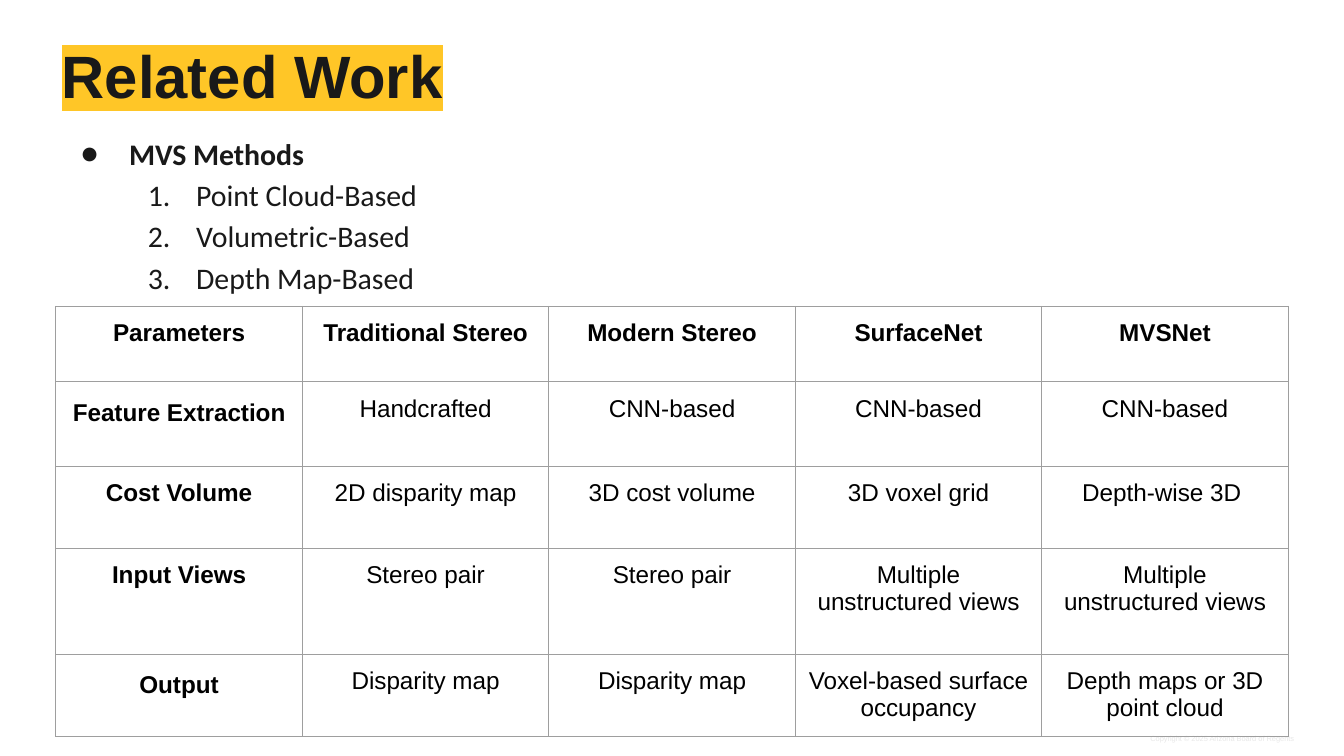
from lxml import etree
from pptx import Presentation
from pptx.dml.color import RGBColor
from pptx.enum.text import MSO_ANCHOR, MSO_AUTO_SIZE, PP_ALIGN
from pptx.oxml.ns import qn
from pptx.util import Inches, Pt

CENTER, LEFT, RIGHT = PP_ALIGN.CENTER, PP_ALIGN.LEFT, PP_ALIGN.RIGHT
TOP = MSO_ANCHOR.TOP
NO_AUTOFIT = MSO_AUTO_SIZE.NONE
TITLE_ONLY = 5

COLORS = {
    "ink": "191919",
    "gold": "FFC627",
    "black": "000000",
    "border": "9E9E9E",
    "faint": "E8E8E8",
}

METHODS = ["Point Cloud-Based", "Volumetric-Based", "Depth Map-Based"]
COMPARISON = [
    ["Parameters", "Traditional Stereo", "Modern Stereo", "SurfaceNet", "MVSNet"],
    ["Feature Extraction", "Handcrafted", "CNN-based", "CNN-based", "CNN-based"],
    ["Cost Volume", "2D disparity map", "3D cost volume", "3D voxel grid",
     "Depth-wise 3D "],
    ["Input Views", "Stereo pair", "Stereo pair", "Multiple unstructured views",
     "Multiple unstructured views"],
    ["Output", "Disparity map", "Disparity map", "Voxel-based surface occupancy",
     "Depth maps or 3D point cloud"],
]
ROW_HEIGHTS = [0.56, 0.63, 0.61, 0.79, 0.61]
TABLE_WIDTH = 9.17
LOOSE_ROWS = {"Feature Extraction", "Output"}


def add_color(parent, tag, color):
    el = etree.SubElement(parent, qn(tag))
    etree.SubElement(el, qn("a:srgbClr"), val=COLORS[color])
    return el


def style_paragraph(p, size, color, font="Arial", bold=False, align=LEFT, spacing=None):
    p.alignment = align
    if spacing:
        p.line_spacing = spacing
    for r in p.runs:
        r.font.size = Pt(size)
        r.font.bold = bold
        r.font.color.rgb = RGBColor.from_string(COLORS[color])
        r.font.name = font


def reset_frame(tf):
    """Top-anchored, wrapping frame without insets."""
    tf.margin_left = tf.margin_right = tf.margin_top = tf.margin_bottom = 0
    tf.vertical_anchor = TOP
    tf.word_wrap = True
    tf.auto_size = NO_AUTOFIT


def add_text_box(s, left, top, width, height):
    box = s.shapes.add_textbox(Inches(left), Inches(top), Inches(width), Inches(height))
    reset_frame(box.text_frame)
    return box.text_frame


def set_title(s, text):
    title = s.shapes.title
    title.left, title.top = Inches(0.46), Inches(0.35)
    title.width, title.height = Inches(9.05), Inches(0.48)
    reset_frame(title.text_frame)
    title.text_frame.text = text
    p = title.text_frame.paragraphs[0]
    style_paragraph(p, 32, "ink", bold=True, spacing=0.9)
    rPr = p.runs[0].font._element
    highlight = add_color(rPr, "a:highlight", "gold")
    rPr.find(qn("a:solidFill")).addnext(highlight)


def add_bullet(p, indent, tag, **attrs):
    pPr = p._p.get_or_add_pPr()
    pPr.set("marL", str(Inches(indent)))
    pPr.set("indent", str(-Inches(0.36)))
    add_color(pPr, "a:buClr", "ink")
    etree.SubElement(pPr, qn("a:buFont"), typeface="Calibri")
    etree.SubElement(pPr, qn(tag), **attrs)


def add_methods(s):
    tf = add_text_box(s, 0.46, 0.97, 9.05, 3.48)
    p = tf.paragraphs[0]
    p.text = "MVS Methods"
    add_bullet(p, 0.5, "a:buChar", char="●")
    style_paragraph(p, 16, "ink", "Calibri", bold=True, spacing=1.15)
    for method in METHODS:
        p = tf.add_paragraph()
        p.text = method
        add_bullet(p, 1, "a:buAutoNum", type="arabicPeriod")
        style_paragraph(p, 16, "ink", "Calibri", spacing=1.15)


def format_cell(cell, text, bold):
    cell.margin_left = cell.margin_right = Inches(0.1)
    cell.margin_top = cell.margin_bottom = Inches(0.1)
    cell.vertical_anchor = TOP
    cell.text_frame.text = text
    style_paragraph(cell.text_frame.paragraphs[0], 13, "black", bold=bold, align=CENTER,
                    spacing=1.15 if text in LOOSE_ROWS else None)
    tcPr = cell._tc.get_or_add_tcPr()
    for side in ("a:lnL", "a:lnR", "a:lnT", "a:lnB"):
        ln = etree.SubElement(tcPr, qn(side), w=str(Pt(0.75)))
        add_color(ln, "a:solidFill", "border")
    cell.fill.background()


def add_comparison_table(s):
    n_rows, n_cols = len(COMPARISON), len(COMPARISON[0])
    table = s.shapes.add_table(
        n_rows, n_cols, Inches(0.415), Inches(2.28),
        Inches(TABLE_WIDTH), Inches(sum(ROW_HEIGHTS))).table
    table.first_row = table.horz_banding = False
    for i, (row, height) in enumerate(zip(COMPARISON, ROW_HEIGHTS)):
        table.rows[i].height = Inches(height)
        for j, text in enumerate(row):
            format_cell(table.cell(i, j), text, bold=i == 0 or j == 0)


def add_copyright(s):
    tf = add_text_box(s, 8.49, 5.46, 1.14, 0.07)
    tf.text = "Copyright © 2025 Arizona Board of Regents"
    style_paragraph(tf.paragraphs[0], 4, "faint", align=RIGHT)


def main():
    prs = Presentation()
    prs.slide_width = Inches(10)
    prs.slide_height = prs.slide_width * 9 // 16
    s = prs.slides.add_slide(prs.slide_layouts[TITLE_ONLY])
    add_copyright(s)
    set_title(s, "Related Work")
    add_methods(s)
    add_comparison_table(s)
    prs.save("out.pptx")


if __name__ == "__main__":
    main()
